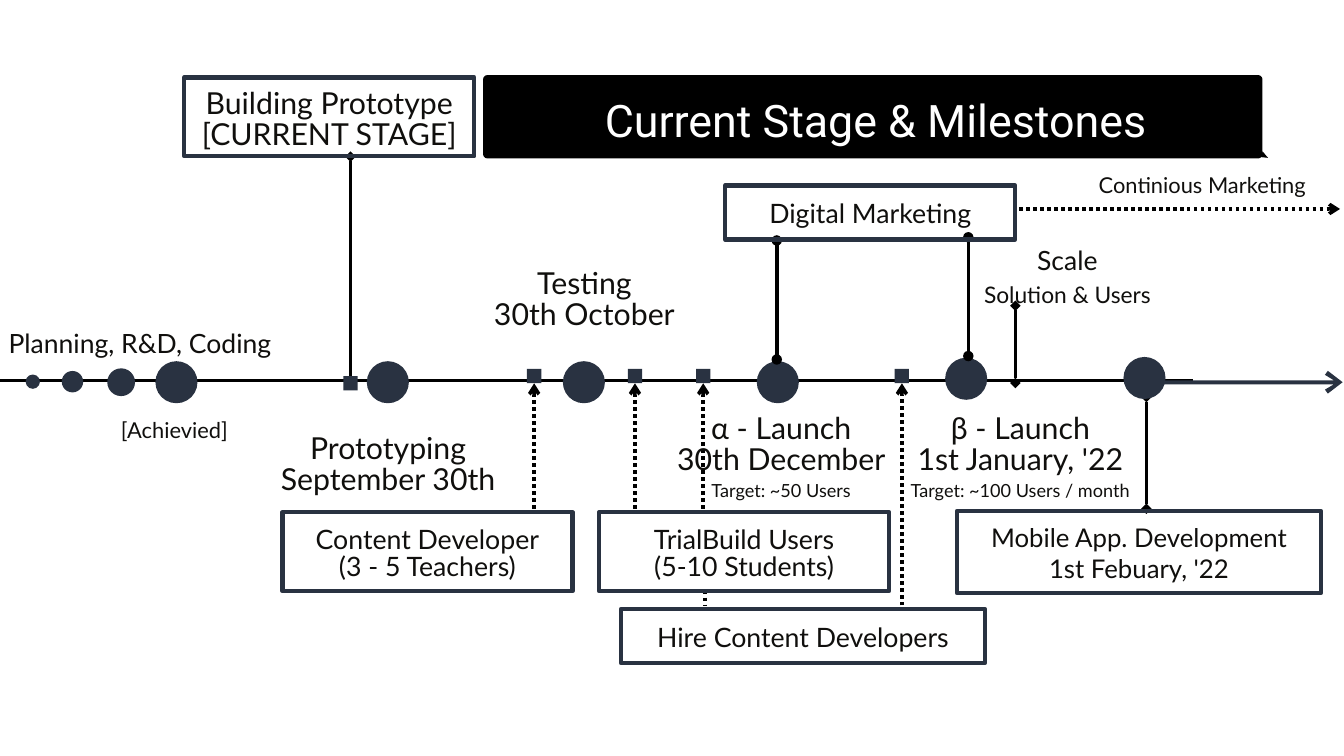
from lxml.etree import SubElement
from pptx import Presentation
from pptx.dml.color import RGBColor
from pptx.enum.dml import MSO_LINE
from pptx.enum.shapes import MSO_CONNECTOR, MSO_SHAPE
from pptx.enum.text import MSO_ANCHOR, PP_ALIGN
from pptx.oxml.ns import qn
from pptx.util import Cm, Pt

COLORS = {"black": "000000", "navy": "293241", "ink": "100F0D", "white": "FFFFFF"}

# Each text line is (wording, size in points, line spacing in points).
SMALL = (23.4, 32.8)
LABEL = (28.4, 39.8)
BOXED = (28.6, 40)
BOXED_NEXT = (28.6, 28.9)
STAGE = (32.4, 45.4)
STAGE_NEXT = (32.4, 32.8)
TARGET = (19.4, 27.2)

MARKER = 0.54
MARKER_Y = 14.22
STAGE_DOT = 1.59


class TimelineSlide:
    def __init__(self, page, font="Lato", stroke=3.75, border=4.75):
        self.page = page
        self.shapes = page.shapes
        self.font = font
        self.stroke = stroke
        self.border = border

    def color(self, name):
        return RGBColor.from_string(COLORS[name])

    def paint(self, shape, fill):
        shape.shadow.inherit = False
        shape.fill.solid()
        shape.fill.fore_color.rgb = self.color(fill)
        shape.line.fill.background()
        return shape

    def set_text(self, shape, lines, align=PP_ALIGN.CENTER, anchor=MSO_ANCHOR.TOP,
                 color="ink", font=None, bottom=0):
        frame = shape.text_frame
        frame.word_wrap = True
        frame.vertical_anchor = anchor
        frame.margin_left = frame.margin_right = frame.margin_top = 0
        frame.margin_bottom = Cm(bottom)
        for index, (wording, size, spacing) in enumerate(lines):
            para = frame.add_paragraph() if index else frame.paragraphs[0]
            para.alignment = align
            para.line_spacing = Pt(spacing)
            para.space_before = para.space_after = Pt(0)
            span = para.add_run()
            span.text = wording
            span.font.name = font or self.font
            span.font.size = Pt(size)
            span.font.color.rgb = self.color(color)

    def title(self, wording, left, top, width, height):
        box = self.shapes.title
        box.left, box.top, box.width, box.height = map(Cm, (left, top, width, height))
        self.set_text(box, [(wording, 48, 62.9)], color="white", font="Roboto")

    def banner(self, left, top, width, height):
        """Black plate with a small tail, placed behind the title."""
        plate = self.shapes.add_shape(
            MSO_SHAPE.ROUNDED_RECTANGLE, Cm(left), Cm(top), Cm(width), Cm(height))
        plate.adjustments[0] = 0.05
        self.paint(plate, "black")
        right, bottom = left + width, top + height
        tail = self.outline([(right, bottom - 0.27), (right + 0.21, bottom - 0.02),
                             (right - 0.05, bottom - 0.05)], "black")
        for shape in (plate, tail):
            self.shapes.title.element.addprevious(shape.element)

    def label(self, left, top, width, height, lines, align=PP_ALIGN.CENTER):
        box = self.shapes.add_textbox(Cm(left), Cm(top), Cm(width), Cm(height))
        self.set_text(box, lines, align)

    def frame(self, left, top, width, height, lines):
        """Outlined box; the given bounds include the whole border."""
        inset = Pt(self.border / 2)
        box = self.shapes.add_shape(
            MSO_SHAPE.RECTANGLE, Cm(left) + inset, Cm(top) + inset,
            Cm(width) - 2 * inset, Cm(height) - 2 * inset)
        box.shadow.inherit = False
        box.fill.background()
        box.line.color.rgb = self.color("navy")
        box.line.width = Pt(self.border)
        self.set_text(box, lines, anchor=MSO_ANCHOR.MIDDLE, bottom=0.15)

    def mark(self, kind, x, y, size):
        """Navy shape centred on a point."""
        shape = self.shapes.add_shape(
            kind, Cm(x - size / 2), Cm(y - size / 2), Cm(size), Cm(size))
        return self.paint(shape, "navy")

    def outline(self, points, fill):
        corners = [(Cm(x), Cm(y)) for x, y in points]
        builder = self.shapes.build_freeform(*corners[0])
        builder.add_line_segments(corners[1:], close=True)
        return self.paint(builder.convert_to_shape(), fill)

    def line(self, x1, y1, x2, y2, head=None, tail=None, dotted=False):
        link = self.shapes.add_connector(
            MSO_CONNECTOR.STRAIGHT, Cm(x1), Cm(y1), Cm(x2), Cm(y2))
        link.line.color.rgb = self.color("black")
        link.line.width = Pt(self.stroke)
        if dotted:
            link.line.dash_style = MSO_LINE.ROUND_DOT
        properties = link.element.spPr
        stroke = properties.find(qn("a:ln"))
        for tag, end in (("a:headEnd", head), ("a:tailEnd", tail)):
            if end:
                SubElement(stroke, qn(tag)).set("type", end)
        SubElement(properties, qn("a:effectLst"))
        return link


def draw_axis(slide):
    slide.line(0, 14.38, 45.09, 14.38)
    slide.outline([(43.05, 14.38), (50.42, 14.38), (50.08, 14.17), (50.19, 14.02),
                   (50.75, 14.45), (50.19, 14.88), (50.08, 14.73), (50.42, 14.53),
                   (43.05, 14.53)], "navy")
    slide.line(43.33, 15.01, 43.33, 19.23, "diamond", "diamond")
    slide.line(13.25, 5.92, 13.25, 14.4, "diamond", "diamond")
    dots = [(1.24, 14.43, 0.54), (2.74, 14.43, 0.81), (4.58, 14.45, 1.05)]
    dots += [(x, 14.45, STAGE_DOT) for x in (6.67, 14.66, 22.07, 29.4)]
    dots += [(36.52, 14.32, STAGE_DOT), (43.26, 14.29, STAGE_DOT)]
    for x, y, size in dots:
        slide.mark(MSO_SHAPE.OVAL, x, y, size)


def draw_links(slide):
    slide.mark(MSO_SHAPE.RECTANGLE, 13.25, 14.49, MARKER)
    for x, start in ((20.19, 19.23), (24, 19.23), (26.58, 19.23), (34.09, 22.89)):
        marker = slide.mark(MSO_SHAPE.RECTANGLE, x, MARKER_Y, MARKER)
        link = slide.line(x, start, x, MARKER_Y + MARKER / 2, tail="arrow", dotted=True)
        link.end_connect(marker, 2)
    slide.line(26.64, 22.33, 26.64, 22.89, dotted=True)
    slide.line(29.36, 9.09, 29.36, 13.59, "oval", "oval")
    slide.line(36.6, 8.97, 36.6, 13.46, "oval", "oval")
    slide.line(38.38, 14.48, 38.38, 11.56, "diamond", "diamond")
    slide.line(38.53, 7.9, 50.65, 7.9, tail="arrow", dotted=True)


def draw_frames(slide):
    narrow, wide = 11.13, 13.92
    slide.frame(6.88, 2.84, narrow, 3.15, [
        ("Building Prototype", *STAGE), ("[CURRENT STAGE]", *STAGE_NEXT)])
    slide.frame(10.59, 19.28, narrow, 3.15, [
        ("Content Developer", *BOXED), ("(3 - 5 Teachers)", *BOXED_NEXT)])
    slide.frame(22.56, 19.28, narrow, 3.15, [
        ("TrialBuild Users", *BOXED), ("(5-10 Students)", *BOXED_NEXT)])
    slide.frame(27.33, 6.93, narrow, 2.21, [("Digital Marketing", *BOXED)])
    slide.frame(23.39, 22.94, wide, 2.21, [("Hire Content Developers", *BOXED)])
    slide.frame(36.09, 19.23, wide, 3.28, [
        ("Mobile App. Development", 27.6, 38.6), ("1st Febuary, '22", 27.6, 33)])


def draw_labels(slide):
    slide.label(0, 12.17, 10.59, 1.35, [("Planning, R&D, Coding", *LABEL)])
    slide.label(4.57, 15.57, 5.26, 1.12, [("[Achievied]", *SMALL)], PP_ALIGN.LEFT)
    stages = [
        (9.83, 16, 2.72, "Prototyping", "September 30th", None),
        (17.25, 9.78, 2.72, "Testing", "30th October", None),
        (24.69, 15.24, 3.68, "α - Launch", "30th December", "Target: ~50 Users"),
        (33.73, 15.24, 3.68, "β - Launch", "1st January, '22",
         "Target: ~100 Users / month"),
    ]
    for left, top, height, name, date, target in stages:
        lines = [(name, *STAGE), (date, *STAGE_NEXT)]
        if target:
            lines.append((target, *TARGET))
        slide.label(left, top, 9.68, height, lines)
    slide.label(36.65, 9.02, 7.39, 2.57, [
        ("Scale", *LABEL), ("Solution & Users", 24.4, 34.2)])
    slide.label(41.53, 6.32, 8.46, 1.12, [("Continious Marketing", *SMALL)],
                PP_ALIGN.JUSTIFY)


def main():
    deck = Presentation()
    deck.slide_width, deck.slide_height = Cm(50.8), Cm(28.58)
    slide = TimelineSlide(deck.slides.add_slide(deck.slide_layouts[5]))
    slide.title("Current Stage & Milestones", 21.82, 3.33, 22.56, 2.11)
    slide.banner(18.26, 2.84, 29.46, 3.15)
    draw_axis(slide)
    draw_links(slide)
    draw_frames(slide)
    draw_labels(slide)
    deck.save("out.pptx")


if __name__ == "__main__":
    main()
